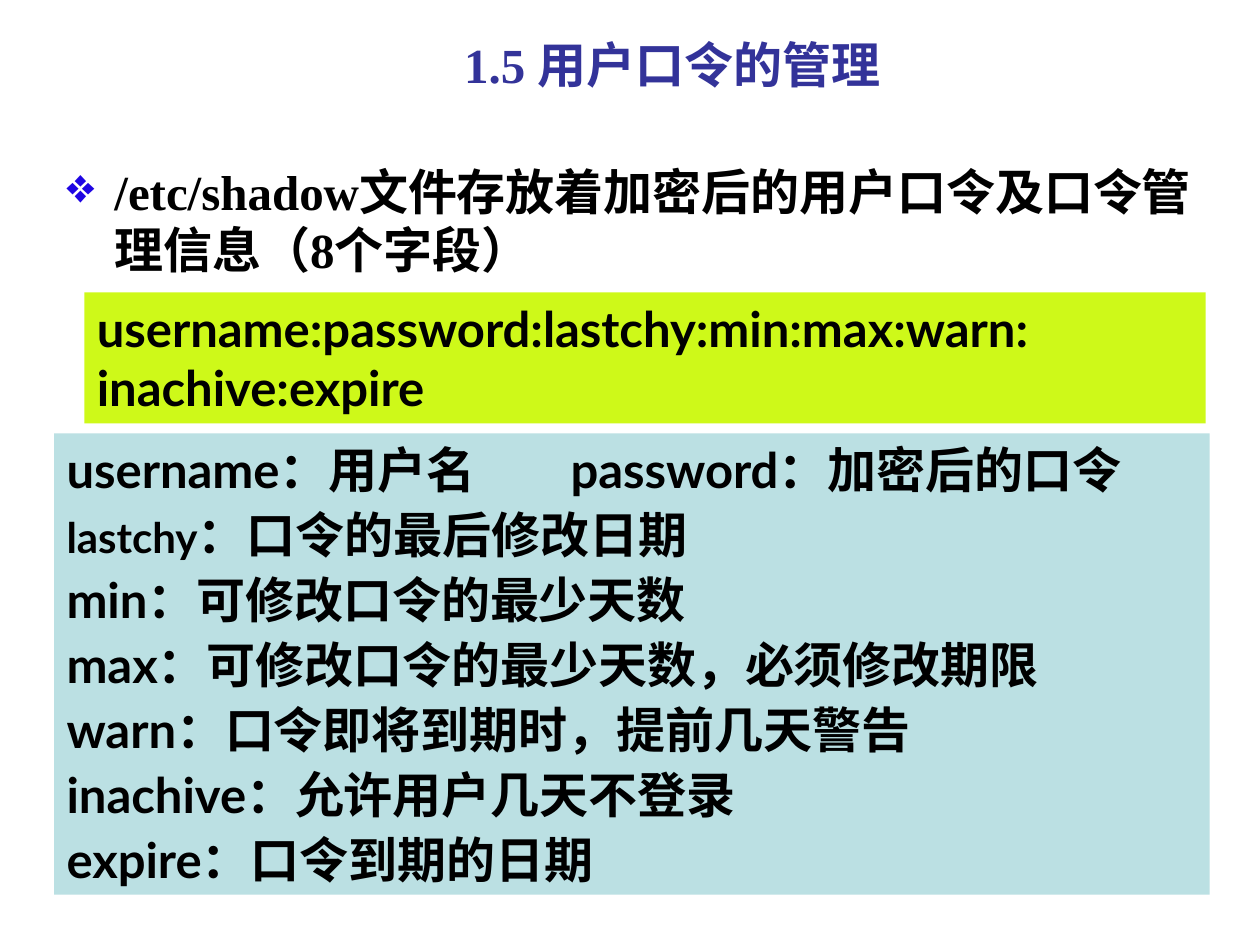
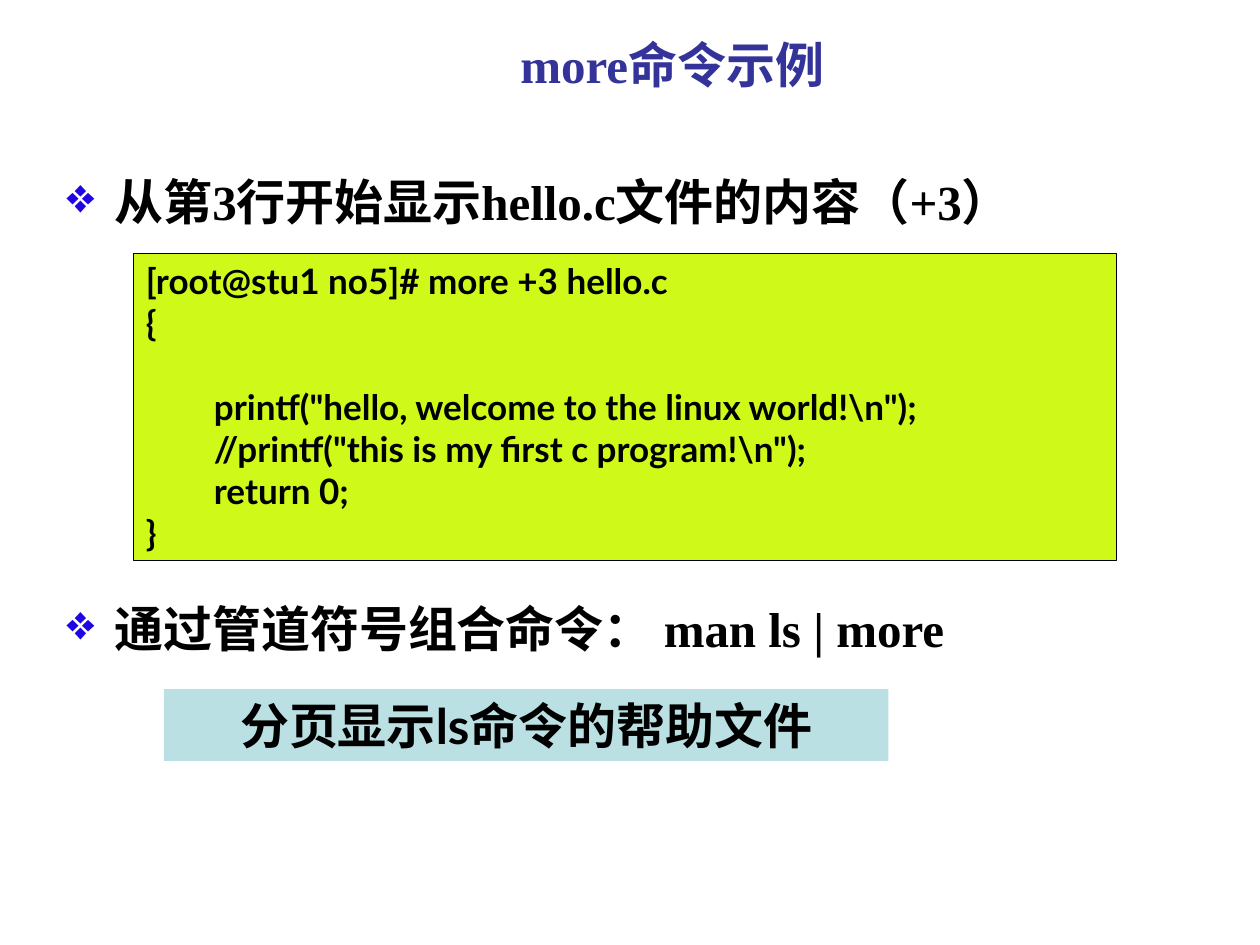
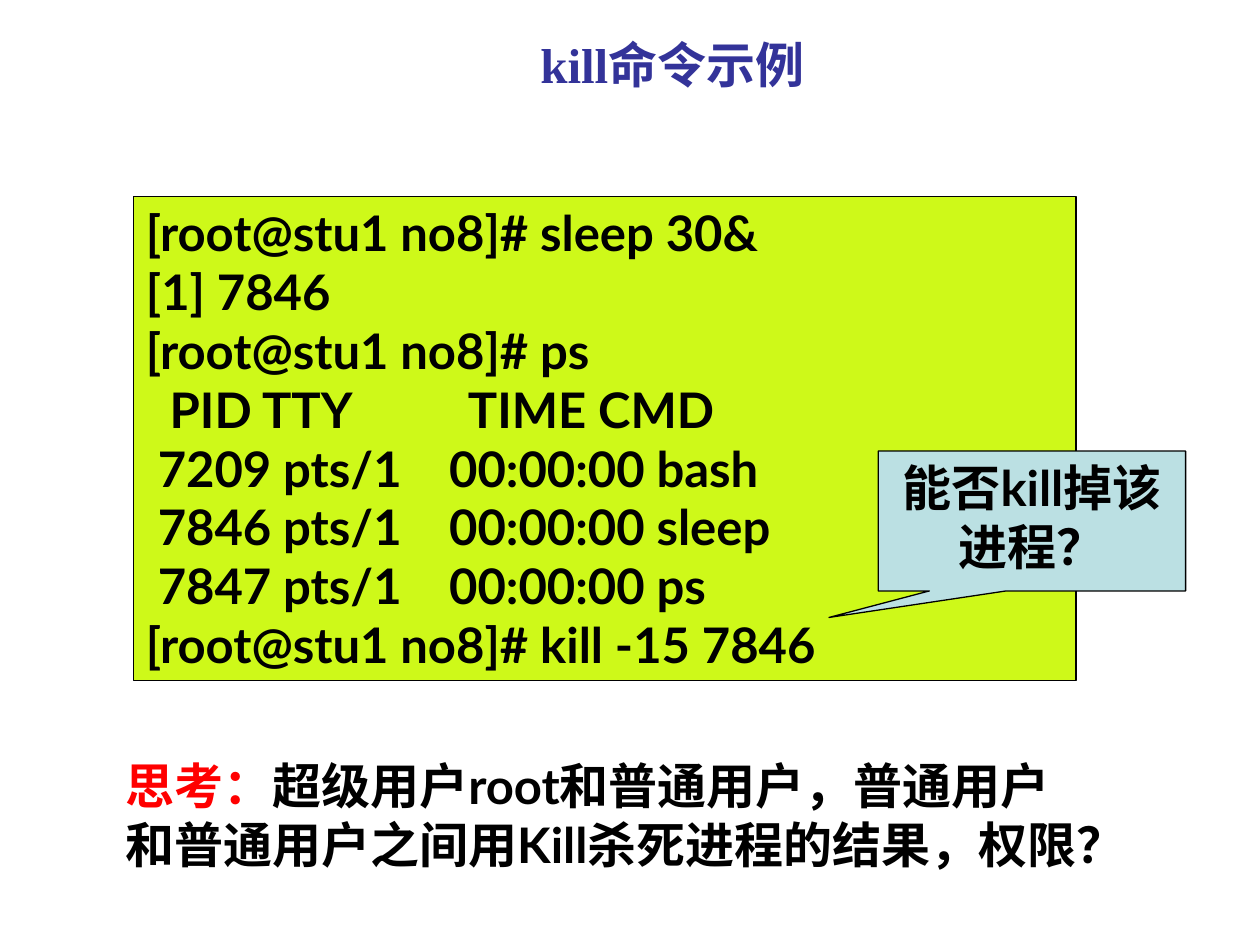
from dataclasses import dataclass

from lxml import etree
from pptx import Presentation
from pptx.dml.color import RGBColor
from pptx.enum.shapes import MSO_SHAPE
from pptx.enum.text import MSO_ANCHOR, MSO_AUTO_SIZE, PP_ALIGN
from pptx.oxml.ns import qn
from pptx.util import Inches, Pt

RECT = MSO_SHAPE.RECTANGLE
BUBBLE = MSO_SHAPE.RECTANGULAR_CALLOUT
LEFT, CENTER = PP_ALIGN.LEFT, PP_ALIGN.CENTER
TOP, MIDDLE = MSO_ANCHOR.TOP, MSO_ANCHOR.MIDDLE
GROW, FIXED = MSO_AUTO_SIZE.SHAPE_TO_FIT_TEXT, MSO_AUTO_SIZE.NONE

WIDE, HIGH = Inches(10), Inches(7.5)
COLS, ROWS = 100, 75


@dataclass(frozen=True)
class Theme:
    ink: str = "000000"
    head: str = "333399"
    alert: str = "FF0000"
    mark: str = "1F05E3"
    lime: str = "CEF919"
    aqua: str = "BBE0E3"
    serif: str = "Times New Roman"
    sans: str = "Lato"
    big: int = 28
    mid: int = 24
    small: int = 20
    edge: float = 0.75
    gap: float = 3.5
    hang: float = 0.38


LOOK = Theme()


def grid(left, top, width, height):
    col, row = WIDE / COLS, HIGH / ROWS
    return [round(n) for n in (left * col, top * row, width * col, height * row)]


def assign(item, values):
    for name, value in values.items():
        setattr(item, name, value)


def add_run(para, text, face=LOOK.sans, size=LOOK.big, color=LOOK.ink):
    run = para.add_run()
    run.text = text
    assign(run.font, {"name": face, "size": Pt(size), "bold": True})
    run.font.color.rgb = RGBColor.from_string(color)


def write(shape, lines, align=LEFT, anchor=TOP, fit=FIXED, gap=0, **style):
    frame = shape.text_frame
    assign(frame, {"word_wrap": True, "auto_size": fit, "vertical_anchor": anchor})
    for index, line in enumerate(lines):
        para = frame.add_paragraph() if index else frame.paragraphs[0]
        para.alignment = align
        if index and gap:
            para.space_before = Pt(gap)
        parts = [(line, {})] if isinstance(line, str) else line
        for text, extra in parts:
            add_run(para, text, **{**style, **extra})
    return frame


def add_text(slide, box, lines, **style):
    return write(slide.shapes.add_textbox(*grid(*box)), lines, **style)


def add_panel(slide, box, lines, fill, kind=RECT, edge=False, **style):
    shape = slide.shapes.add_shape(kind, *grid(*box))
    shape.shadow.inherit = False
    shape.fill.solid()
    shape.fill.fore_color.rgb = RGBColor.from_string(fill)
    if edge:
        shape.line.color.rgb = RGBColor.from_string(LOOK.ink)
        shape.line.width = Pt(LOOK.edge)
    else:
        shape.line.fill.background()
    write(shape, lines, **style)
    return shape


def add_child(parent, tag, **values):
    return etree.SubElement(parent, qn(tag), **values)


def add_bullet(slide, top, text, height=5.7):
    frame = add_text(slide, (4.3, top, 92.9, height), [text], face=LOOK.serif)
    props = frame.paragraphs[0]._p.get_or_add_pPr()
    hang = Inches(LOOK.hang)
    props.set("marL", str(hang))
    props.set("indent", str(-hang))
    add_child(add_child(props, "a:buClr"), "a:srgbClr", val=LOOK.mark)
    add_child(props, "a:buChar", char="❖")


def add_tab(para, inches):
    tabs = add_child(para._p.get_or_add_pPr(), "a:tabLst")
    add_child(tabs, "a:tab", pos=str(Inches(inches)), algn="l")


def add_page(deck, title):
    slide = deck.slides.add_slide(deck.slide_layouts[6])
    add_text(slide, (6.7, 2.1, 93.3, 6), [title], align=CENTER, anchor=MIDDLE,
             face=LOOK.serif, color=LOOK.head)
    return slide


def shadow_page(deck):
    slide = add_page(deck, "1.5 用户口令的管理")
    add_bullet(slide, 12.3, "/etc/shadow文件存放着加密后的用户口令及口令管理信息（8个字段）", 10.4)
    add_panel(slide, (6.7, 23.2, 89, 10.4), [
        "username:password:lastchy:min:max:warn:",
        "inachive:expire",
    ], LOOK.lime, fit=GROW)
    fields = add_panel(slide, (4.3, 34.4, 91.7, 36.6), [
        "username：用户名\tpassword：加密后的口令",
        [("lastchy", {"size": LOOK.mid}), ("：口令的最后修改日期", {})],
        "min：可修改口令的最少天数",
        "max：可修改口令的最少天数，必须修改期限",
        "warn：口令即将到期时，提前几天警告",
        "inachive：允许用户几天不登录",
        "expire：口令到期的日期",
    ], LOOK.aqua, fit=GROW, gap=LOOK.gap)
    add_tab(fields.text_frame.paragraphs[0], 4)


def more_page(deck):
    slide = add_page(deck, "more命令示例")
    add_bullet(slide, 13.1, "从第3行开始显示hello.c文件的内容（+3）")
    add_panel(slide, (10.6, 20.1, 78, 24.4), [
        "[root@stu1 no5]# more +3 hello.c",
        "{",
        " ",
        '        printf("hello, welcome to the linux world!\\n");',
        '        //printf("this is my first c program!\\n");',
        "        return 0;",
        "}",
    ], LOOK.lime, edge=True, fit=GROW, size=LOOK.small)
    add_bullet(slide, 47, "通过管道符号组合命令： man ls | more")
    add_panel(slide, (13, 54.7, 57.5, 5.7), ["分页显示ls命令的帮助文件"],
              LOOK.aqua, align=CENTER, fit=GROW)


def kill_page(deck):
    slide = add_page(deck, "kill命令示例")
    add_panel(slide, (10.6, 15.6, 74.8, 38.4), [
        "[root@stu1 no8]# sleep 30&",
        "[1] 7846",
        "[root@stu1 no8]# ps",
        "  PID TTY          TIME CMD",
        " 7209 pts/1    00:00:00 bash",
        " 7846 pts/1    00:00:00 sleep",
        " 7847 pts/1    00:00:00 ps",
        "[root@stu1 no8]# kill -15 7846",
    ], LOOK.lime, edge=True, fit=GROW)
    bubble = add_panel(slide, (69.7, 35.8, 24.4, 11.1), ["能否kill掉该进程？"],
                       LOOK.aqua, kind=BUBBLE, edge=True, align=CENTER)
    for index, shift in enumerate((-0.66, 0.69)):
        bubble.adjustments[index] = shift
    add_text(slide, (9, 59.5, 78.8, 15), [[
        ("思考：", {"color": LOOK.alert}),
        ("超级用户root和普通用户，普通用户和普通用户之间用Kill杀死进程的结果，权限？", {}),
    ]], fit=GROW)


def main():
    deck = Presentation()
    assign(deck, {"slide_width": WIDE, "slide_height": HIGH})
    for build in (shadow_page, more_page, kill_page):
        build(deck)
    deck.save("out.pptx")


if __name__ == "__main__":
    main()
